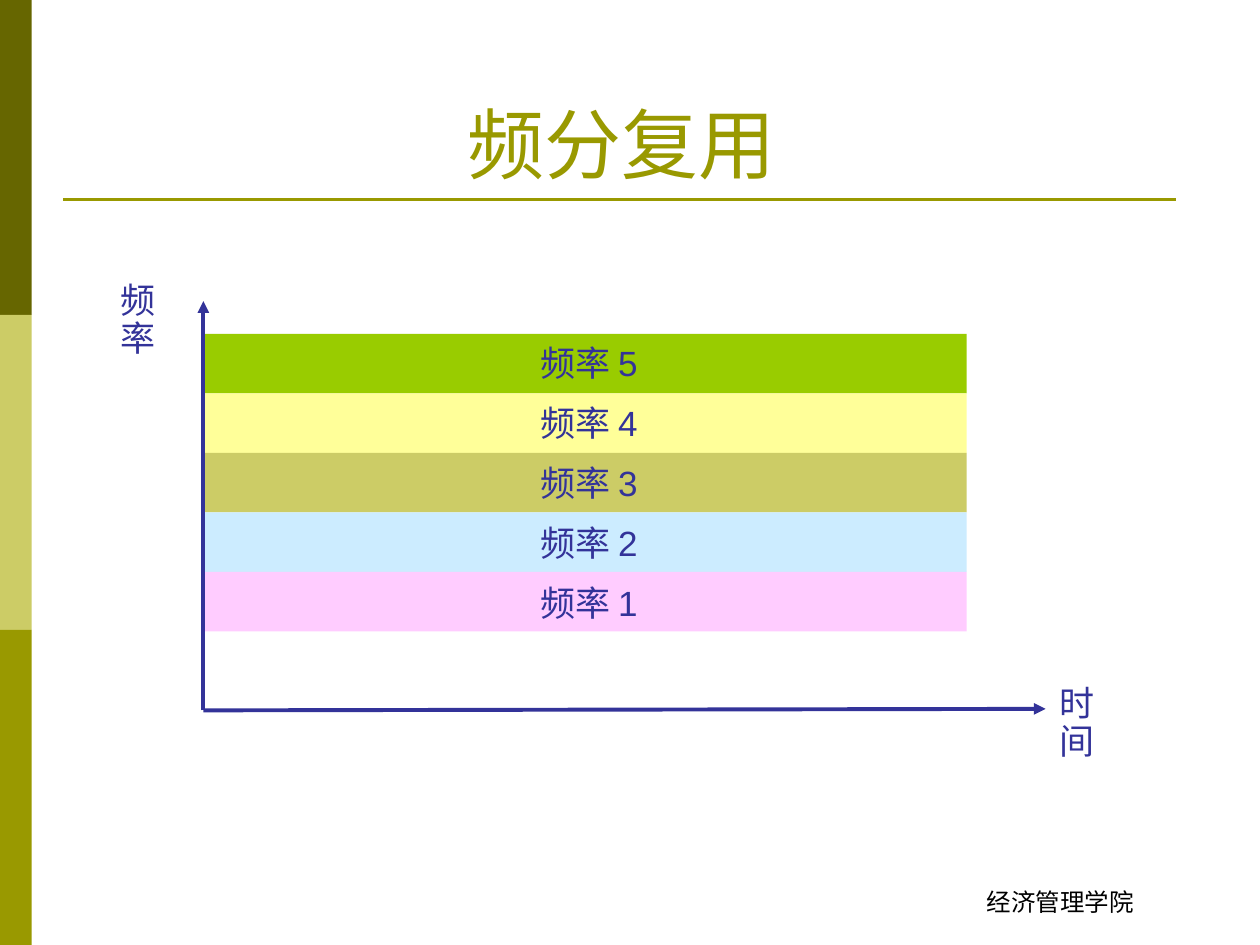
import dataclasses

import lxml.etree
import pptx
import pptx.dml.color
import pptx.enum.shapes
import pptx.enum.text
import pptx.oxml.ns
import pptx.util

Cm = pptx.util.Cm
Pt = pptx.util.Pt
Anchor = pptx.enum.text.MSO_ANCHOR
Align = pptx.enum.text.PP_ALIGN


@dataclasses.dataclass(frozen=True)
class Theme:
    dark_olive: str = "666600"
    pale_olive: str = "CCCC66"
    olive: str = "999900"
    ink: str = "333399"
    footer: str = "000000"
    bands: tuple = ("99CC00", "FFFF99", "CCCC66", "CCECFF", "FFCCFF")
    title_size: int = 44
    label_size: int = 20
    footer_size: int = 14
    serif: str = "Times New Roman"
    sans: str = "Arial"
    footer_font: str = "Karla"


def rgb(value):
    return pptx.dml.color.RGBColor.from_string(value)


class SlideBuilder:
    def __init__(self, slide, theme):
        self.shapes = slide.shapes
        self.theme = theme

    def block(self, left, top, width, height, color):
        rect = self.shapes.add_shape(
            pptx.enum.shapes.MSO_SHAPE.RECTANGLE,
            Cm(left), Cm(top), Cm(width), Cm(height))
        rect.shadow.inherit = False
        rect.fill.solid()
        rect.fill.fore_color.rgb = rgb(color)
        rect.line.fill.background()

    def line(self, start, end, color, width, arrow=False):
        rule = self.shapes.add_connector(
            pptx.enum.shapes.MSO_CONNECTOR.STRAIGHT,
            *(Cm(value) for value in (*start, *end)))
        rule.line.color.rgb = rgb(color)
        rule.line.width = Pt(width)
        qn = pptx.oxml.ns.qn
        if arrow:
            lxml.etree.SubElement(rule.line._get_or_add_ln(), qn("a:tailEnd"), type="triangle")
        lxml.etree.SubElement(rule._element.spPr, qn("a:effectLst"))

    def text(self, words, left, top, width, height, font, size, color,
             align=Align.LEFT, anchor=Anchor.TOP, wrap=True, spacing=1.0):
        box = self.shapes.add_textbox(Cm(left), Cm(top), Cm(width), Cm(height))
        frame = box.text_frame
        frame.word_wrap = wrap
        frame.vertical_anchor = anchor
        paragraph = frame.paragraphs[0]
        paragraph.text = words
        paragraph.alignment = align
        paragraph.line_spacing = spacing
        paragraph.font.name = font
        paragraph.font.size = Pt(size)
        paragraph.font.color.rgb = rgb(color)
        return frame

    def label(self, words, left, top, width, font):
        frame = self.text(words, left, top, width, 1.02, font, self.theme.label_size,
                          self.theme.ink, wrap=False, spacing=0.9)
        frame.auto_size = pptx.enum.text.MSO_AUTO_SIZE.SHAPE_TO_FIT_TEXT


def main():
    theme = Theme()
    deck = pptx.Presentation()
    deck.slide_width, deck.slide_height = Cm(25.4), Cm(19.05)
    builder = SlideBuilder(deck.slides.add_slide(deck.slide_layouts[6]), theme)

    # Side stripe, title and footer
    stripe_height = 19.05 / 3
    for index, color in enumerate((theme.dark_olive, theme.pale_olive, theme.olive)):
        builder.block(0, index * stripe_height, 0.64, stripe_height, color)
    builder.line((1.27, 4.02), (23.7, 4.02), theme.olive, 1.5)
    builder.text("经济管理学院", 17.35, 17.32, 8.05, 1.27, theme.footer_font,
                 theme.footer_size, theme.footer, Align.CENTER, Anchor.BOTTOM)
    builder.text("频分复用 ", 1.27, 0.76, 22.86, 3.18, theme.serif,
                 theme.title_size, theme.olive, Align.CENTER, Anchor.BOTTOM)

    # Frequency bands, highest on top
    axis_left, axis_bottom = 4.1, 14.32
    bands_top, band_height, label_pitch = 6.73, 1.2, 1.21
    for index, color in enumerate(theme.bands):
        builder.block(axis_left, bands_top + index * band_height, 15.39, band_height, color)
        builder.label(f"频率 {len(theme.bands) - index}", 10.64,
                      bands_top + 0.13 + index * label_pitch, 2.64, theme.sans)

    # Axes
    origin = (axis_left, axis_bottom)
    builder.line(origin, (21.08, 14.29), theme.ink, 2.25, arrow=True)
    builder.line(origin, (axis_left, 6.07), theme.ink, 2.25, arrow=True)
    builder.label("频率", 2.18, 5.58, 1.91, theme.serif)
    builder.label("时间", 21.1, 13.71, 1.91, theme.serif)

    deck.save("out.pptx")


if __name__ == "__main__":
    main()
